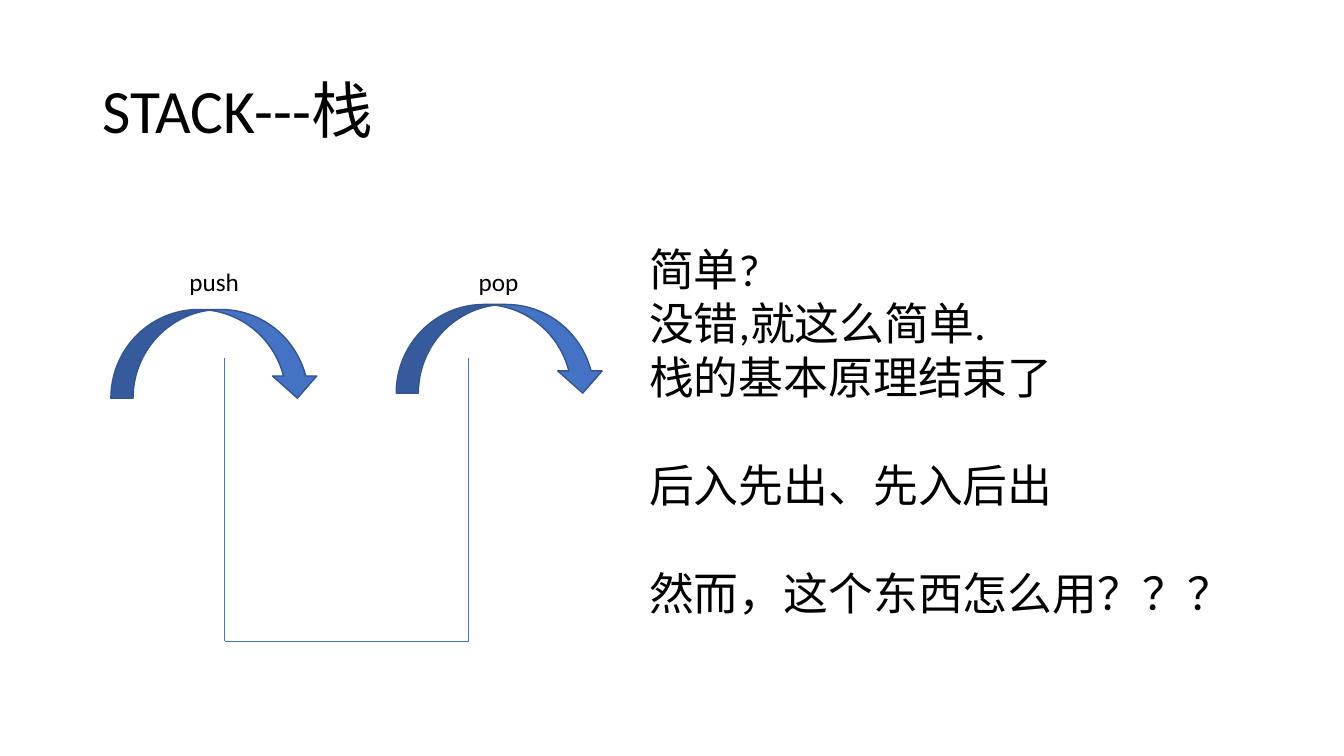
from itertools import pairwise

from lxml.etree import SubElement
from pptx import Presentation
from pptx.dml.color import RGBColor
from pptx.enum.shapes import MSO_CONNECTOR, MSO_SHAPE
from pptx.enum.text import MSO_ANCHOR, MSO_AUTO_SIZE
from pptx.oxml.ns import qn
from pptx.util import Pt

PX = 9144
COLORS = {"text": "000000", "blue": "4472C4", "outline": "325491"}
FONT = "Calibri"


def px(*lengths):
    return [length * PX for length in lengths]


def color(name):
    return RGBColor.from_string(COLORS[name])


def add_text(slide, box, lines, size, wrap=True):
    frame = slide.shapes.add_textbox(*px(*box)).text_frame
    frame.word_wrap = wrap
    frame.text = "\n".join(lines)
    for paragraph in frame.paragraphs:
        paragraph.font.name = FONT
        paragraph.font.size = Pt(size)
        paragraph.font.color.rgb = color("text")
    return frame


def add_title(slide, box):
    title = add_text(slide, box, ["STACK---栈"], 44)
    title.vertical_anchor = MSO_ANCHOR.MIDDLE
    title.paragraphs[0].line_spacing = 0.9


def add_container(slide, box):
    left, top, width, height = box
    right, bottom = left + width, top + height
    corners = [(left, top), (left, bottom), (right, bottom), (right, top)]
    for start, end in pairwise(corners):
        wall = slide.shapes.add_connector(MSO_CONNECTOR.STRAIGHT, *px(*start, *end))
        wall.line.color.rgb = color("blue")
        wall.line.width = Pt(0.5)
        SubElement(wall._element.spPr, qn("a:effectLst"))


def add_operation(slide, box, name, label_box):
    left, top, width, height = box
    arrow = slide.shapes.add_shape(MSO_SHAPE.CURVED_DOWN_ARROW, *px(*box))
    arrow.shadow.inherit = False
    arrow.fill.solid()
    arrow.fill.fore_color.rgb = color("blue")
    arrow.line.color.rgb = color("outline")
    arrow.line.width = Pt(1)
    label_dx, label_dy, label_width, label_height = label_box
    label_place = (left + label_dx, top + label_dy, label_width, label_height)
    label = add_text(slide, label_place, [name], 18, wrap=False)
    label.auto_size = MSO_AUTO_SIZE.SHAPE_TO_FIT_TEXT


def add_stack_diagram(slide, box):
    left, top, width, height = box
    add_container(slide, (left + 113, top + 96, 242, height - 96))
    add_operation(slide, (left, top + 48, 207, 88), "push", (68, -48, 71, 40))
    add_operation(slide, (left + width - 207, top + 43, 207, 88), "pop", (72, -43, 60, 40))


def add_summary(slide, box):
    lines = ["简单?", "没错,就这么简单.", "栈的基本原理结束了",
             "后入先出、先入后出", "然而，这个东西怎么用？？？"]
    summary = add_text(slide, box, lines, 32)
    for paragraph in summary.paragraphs[3:]:
        paragraph.space_before = Pt(39)


def main():
    deck = Presentation()
    deck.slide_width, deck.slide_height = px(1333, 750)
    slide = deck.slides.add_slide(deck.slide_layouts[6])
    add_title(slide, (92, 40, 1150, 145))
    add_stack_diagram(slide, (110, 259, 490, 377))
    add_summary(slide, (634, 235, 607, 387))
    deck.save("out.pptx")


if __name__ == "__main__":
    main()
